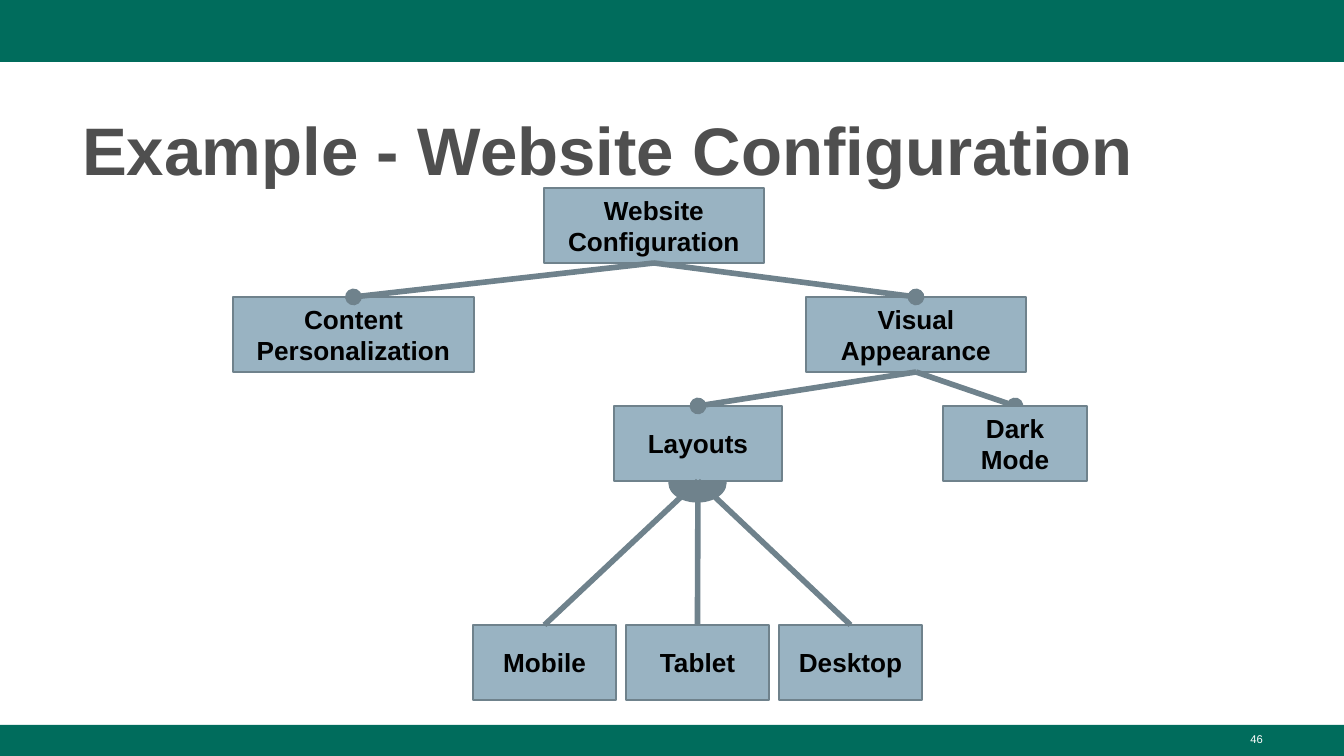
import pptx
import pptx.util
import pptx.dml.color
import pptx.enum.shapes
import pptx.enum.text
import pptx.oxml
import pptx.oxml.ns

RGB = pptx.dml.color.RGBColor
KIND = pptx.enum.shapes.MSO_SHAPE
ALIGN = pptx.enum.text.PP_ALIGN
ANCHOR = pptx.enum.text.MSO_ANCHOR
GREEN = RGB(0x00, 0x6C, 0x5C)
BLUE = RGB(0x99, 0xB3, 0xC2)
SLATE = RGB(0x6F, 0x82, 0x8C)
GRAY = RGB(0x4F, 0x4F, 0x4F)
BLACK = RGB(0, 0, 0)
WHITE = RGB(255, 255, 255)
PX = 914400 / 134.4


def shape(kind, area, fill, line=None):
    item = slide.shapes.add_shape(kind, *[round(n * PX) for n in area])
    item.shadow.inherit = False
    item.fill.solid()
    item.fill.fore_color.rgb = fill
    if line is None:
        item.line.fill.background()
    else:
        item.line.color.rgb = line
        item.line.width = pptx.util.Pt(0.75)
    return item


def write(item, text, size, color, bold, align):
    item.text_frame.word_wrap = True
    para = item.text_frame.paragraphs[0]
    para.alignment = align
    run = para.add_run()
    run.text = text
    run.font.name = "Arial"
    run.font.size = pptx.util.Pt(size)
    run.font.bold = bold
    run.font.color.rgb = color
    return para


deck = pptx.Presentation()
deck.slide_width = round(1344 * PX)
deck.slide_height = round(756 * PX)
slide = deck.slides.add_slide(deck.slide_layouts[6])

# Page bands, title and number
shape(KIND.RECTANGLE, (0, 0, 1344, 62), GREEN)
shape(KIND.RECTANGLE, (0, 725, 1344, 31), GREEN)
title = slide.shapes.add_textbox(*[round(n * PX) for n in (69, 95, 1208, 98)])
para = write(title, "Example - Website Configuration", 36, GRAY, True, ALIGN.LEFT)
para.line_spacing = 1.08
number = slide.shapes.add_textbox(*[round(n * PX) for n in (963, 726, 313, 31)])
write(number, "46", 6, WHITE, False, ALIGN.RIGHT)

# Filled arc of the "or" group, half hidden by its parent
shape(KIND.OVAL, (669, 464, 57, 38), SLATE, SLATE)

# Feature boxes: left, top, width
nodes = {
    "Website Configuration": (544, 188, 220),
    "Content Personalization": (233, 297, 241),
    "Visual Appearance": (806, 297, 220),
    "Layouts": (614, 406, 168),
    "Dark Mode": (943, 406, 144),
}
for i, name in enumerate(("Mobile", "Tablet", "Desktop")):
    nodes[name] = (473 + 153 * i, 625, 143)

boxes = {}
for name, (left, top, width) in nodes.items():
    box = shape(KIND.RECTANGLE, (left, top, width, 75), BLUE, SLATE)
    box.text_frame.vertical_anchor = ANCHOR.MIDDLE
    write(box, name, 14, BLACK, True, ALIGN.CENTER)
    boxes[name] = box

# Links: parent, child, dot at the child
links = [
    ("Website Configuration", "Content Personalization", True),
    ("Website Configuration", "Visual Appearance", True),
    ("Visual Appearance", "Layouts", True),
    ("Visual Appearance", "Dark Mode", True),
    ("Layouts", "Mobile", False),
    ("Layouts", "Tablet", False),
    ("Layouts", "Desktop", False),
]
for head, child, dot in links:
    link = slide.shapes.add_connector(
        pptx.enum.shapes.MSO_CONNECTOR.STRAIGHT, 0, 0, 0, 0)
    link.begin_connect(boxes[head], 2)
    link.end_connect(boxes[child], 0)
    link.line.color.rgb = SLATE
    link.line.width = pptx.util.Pt(3)
    if dot:
        end = pptx.oxml.parse_xml(
            '<a:tailEnd %s type="oval"/>' % pptx.oxml.ns.nsdecls("a"))
        link.line._get_or_add_ln().append(end)
    link._element.spPr.append(pptx.oxml.parse_xml(
        "<a:effectLst %s/>" % pptx.oxml.ns.nsdecls("a")))

# Dark Mode lies over the dot of its link
slide.shapes._spTree.append(boxes["Dark Mode"]._element)

deck.save("out.pptx")
